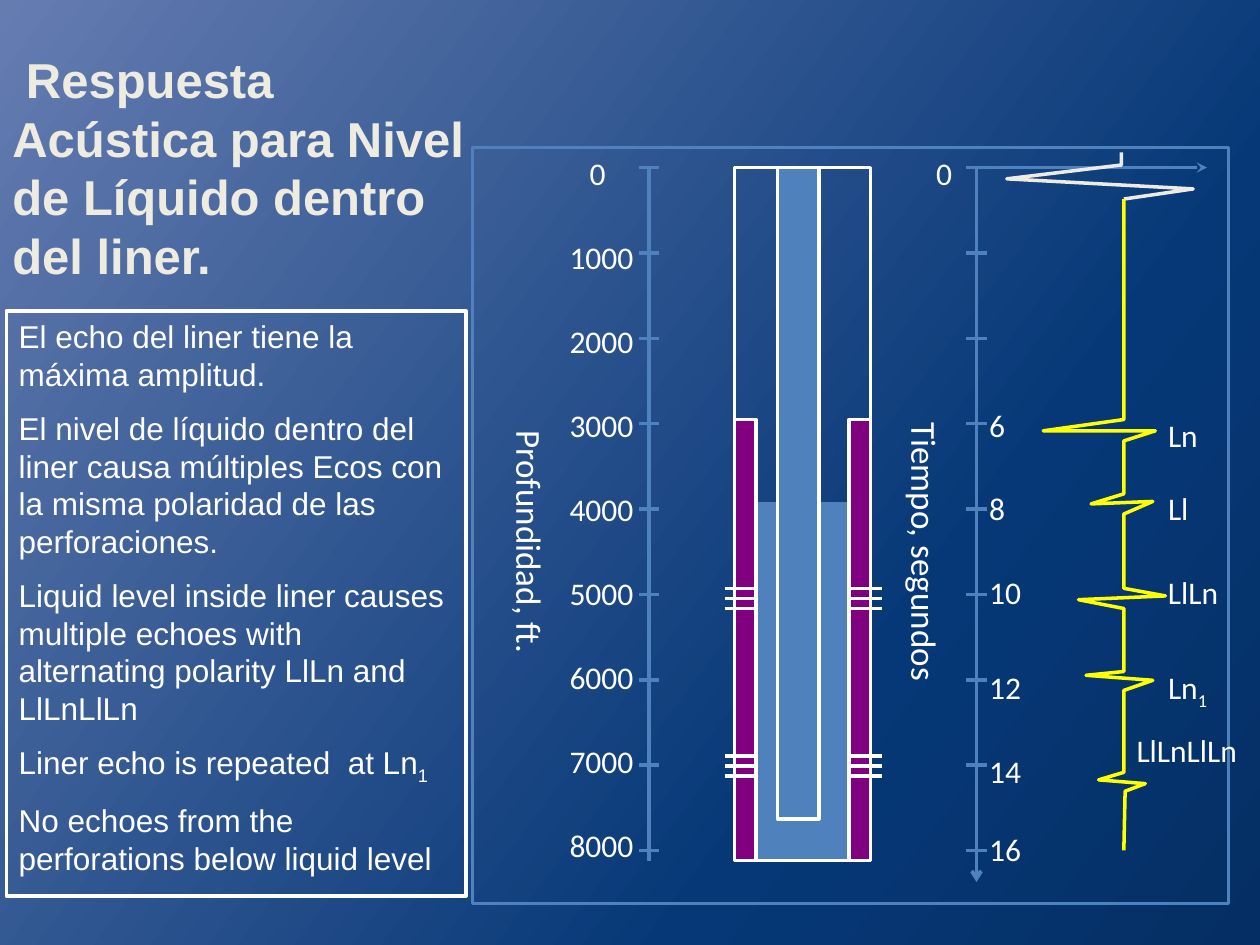
from lxml import etree
from pptx import Presentation
from pptx.dml.color import RGBColor
from pptx.enum.shapes import MSO_CONNECTOR, MSO_SHAPE
from pptx.enum.text import MSO_ANCHOR
from pptx.oxml import parse_xml
from pptx.oxml.ns import qn
from pptx.util import Inches, Pt

COLORS = {
    "white": "FFFFFF", "cream": "EEECE1", "blue": "4F81BD", "purple": "800080",
    "yellow": "FFFF00", "navy": "052F64", "royal": "063877", "haze": "657CB1",
}
DRAWING_NS = "http://schemas.openxmlformats.org/drawingml/2006/main"
PRESENTATION_NS = "http://schemas.openxmlformats.org/presentationml/2006/main"
TICK_STEP = 0.6775
LABEL_STEP = 2 / 3
NOTES = [
    "El echo del liner tiene la máxima amplitud.",
    "El nivel de líquido dentro del liner causa múltiples Ecos con "
    "la misma polaridad de las perforaciones.",
    "Liquid level inside liner causes multiple echoes with "
    "alternating polarity LlLn and LlLnLlLn",
    "Liner echo is repeated  at Ln_1",
    "No echoes from the perforations below liquid level",
]


def rgb(name):
    return RGBColor.from_string(COLORS[name])


def set_background(slide):
    stops = "".join(
        f'<a:gs pos="{percent * 1000}"><a:srgbClr val="{COLORS[name]}"/></a:gs>'
        for percent, name in ((0, "navy"), (30, "royal"), (100, "haze")))
    background = parse_xml(
        f'<p:bg xmlns:p="{PRESENTATION_NS}" xmlns:a="{DRAWING_NS}"><p:bgPr>'
        f'<a:gradFill rotWithShape="1"><a:gsLst>{stops}</a:gsLst>'
        f'<a:lin ang="{217 * 60000}" scaled="0"/></a:gradFill>'
        '<a:effectLst/></p:bgPr></p:bg>')
    slide.element.cSld.insert(0, background)


def style_shape(shape, line, fill=None):
    shape.shadow.inherit = False
    if fill:
        shape.fill.solid()
        shape.fill.fore_color.rgb = rgb(fill)
    else:
        shape.fill.background()
    shape.line.color.rgb = rgb(line)
    shape.line.width = Pt(2)


def add_box(shapes, left, top, width, height, line, fill=None):
    shape = shapes.add_shape(MSO_SHAPE.RECTANGLE, Inches(left), Inches(top),
                             Inches(width), Inches(height))
    style_shape(shape, line, fill)
    return shape


def add_line(shapes, start, end, color, arrow=None):
    connector = shapes.add_connector(
        MSO_CONNECTOR.STRAIGHT, *(Inches(value) for value in (*start, *end)))
    connector.line.color.rgb = rgb(color)
    connector.line.width = Pt(2)
    if arrow:
        etree.SubElement(connector.line._get_or_add_ln(), qn("a:tailEnd"), type=arrow)
    etree.SubElement(connector._element.spPr, qn("a:effectLst"))


def add_trace(shapes, points, color):
    points = [(Inches(x), Inches(y)) for x, y in points]
    builder = shapes.build_freeform(*points[0])
    builder.add_line_segments(points[1:], close=False)
    style_shape(builder.convert_to_shape(), color)


def write(paragraph, text, size, font="Calibri", color="white", bold=False):
    """Write text; whatever follows an underscore becomes a subscript."""
    base, _, subscript = text.partition("_")
    paragraph.add_run().text = base
    if subscript:
        run = paragraph.add_run()
        run.text = subscript
        run.font._element.set("baseline", "-25000")
    paragraph.font.size = Pt(size)
    paragraph.font.name = font
    paragraph.font.bold = bold
    paragraph.font.color.rgb = rgb(color)


def add_label(shapes, text, left, top, width, height=0.34, size=18, rotation=0):
    label = shapes.add_textbox(Inches(left), Inches(top), Inches(width), Inches(height))
    label.rotation = rotation
    frame = label.text_frame
    frame.word_wrap = True
    frame.margin_left = Inches(0.6)
    write(frame.paragraphs[0], text, size)


def add_ticks(shapes, x, top):
    for index in range(9):
        y = top + index * TICK_STEP
        add_line(shapes, (x - 0.08, y), (x + 0.08, y), "blue")


def add_title(slide, left, top, width, height):
    title = slide.shapes.add_textbox(Inches(left), Inches(top), Inches(width), Inches(height))
    frame = title.text_frame
    frame.word_wrap = True
    frame.vertical_anchor = MSO_ANCHOR.MIDDLE
    write(frame.paragraphs[0],
          " Respuesta Acústica para Nivel de Líquido dentro del liner.",
          28, "Arial", "cream", bold=True)


def add_notes_panel(slide, left, top, width, height):
    panel = add_box(slide.shapes, left, top, width, height, "white")
    frame = panel.text_frame
    frame.word_wrap = True
    frame.vertical_anchor = MSO_ANCHOR.TOP
    for index, note in enumerate(NOTES):
        paragraph = frame.add_paragraph() if index else frame.paragraphs[0]
        paragraph.alignment = 1  # left
        paragraph.space_before = Pt(9 if index else 0)
        write(paragraph, note, 18, "Arial")


def add_well(slide, left, top, width, height):
    shapes = slide.shapes
    liner_width = 0.17
    right_liner = left + width - liner_width
    # Liquid, casing and tubing
    add_box(shapes, left, top + 2.67, width, height - 2.67, "blue", "blue")
    add_box(shapes, left, top, width, height, "white")
    add_box(shapes, left + 0.34, top, 0.33, 5.17, "white", "blue")
    # Liner walls
    for x in (left, right_liner):
        add_box(shapes, x, top + 2, liner_width, height - 2, "white", "purple")
    # Perforations through both walls
    for x in (left - 0.08, right_liner + 0.01):
        for y in (top + 3.34, top + 4.67):
            group = shapes.add_group_shape().shapes
            for index in range(3):
                line_y = y + index * 0.08
                add_line(group, (x, line_y), (x + 0.25, line_y), "white")


def add_depth_scale(slide, x, top, height):
    group = slide.shapes.add_group_shape().shapes
    add_line(group, (x, top), (x, top + height), "blue")
    add_ticks(group, x, top)
    add_label(slide.shapes, "0", x - 1.07, top - 0.16, 0.83)
    for index in range(1, 9):
        add_label(slide.shapes, str(index * 1000), x - 1.23,
                  top - 0.16 + index * LABEL_STEP, 1.25)
    add_label(slide.shapes, "Profundidad, ft.", x - 2.29, top + 2.61,
              2.69, 0.44, size=20, rotation=90)


def add_time_scale(slide, x, top, height):
    shapes = slide.shapes
    add_line(shapes, (x, top), (x, top + height), "blue", "arrow")
    add_line(shapes, (x, top), (x + 1.83, top), "blue", "stealth")
    add_ticks(shapes, x, top)
    add_label(shapes, "0", x - 0.92, top - 0.16, 0.83)
    offsets = (1.84, 2.5, 3.17, 3.92, 4.59, 5.21)
    for seconds, offset in zip(range(6, 17, 2), offsets):
        add_label(shapes, str(seconds), x - 0.5, top + offset, 1.08)
    add_label(shapes, "Tiempo, segundos", x - 1.91, top + 2.7,
              3, 0.44, size=20, rotation=90)


def add_echo_trace(slide, x, top):
    # Offsets from the trace axis and from the zero of the time scale
    shot = [(-0.02, -0.12), (-0.02, -0.02), (-0.93, 0.09), (0.55, 0.17), (0, 0.25)]
    echoes = [
        (0, 0.25), (0, 2), (-0.64, 2.09), (0.25, 2.09), (0, 2.17),
        (0, 2.59), (-0.26, 2.67), (0.23, 2.65), (0, 2.75),
        (0, 3.34), (0.33, 3.4), (-0.36, 3.43), (0, 3.5),
        (0, 4), (-0.3, 4.03), (0.23, 4.07), (0, 4.15),
        (0, 4.8), (-0.2, 4.86), (0.17, 4.89), (0.01, 4.95), (0, 5.42),
    ]
    for points, color in ((shot, "cream"), (echoes, "yellow")):
        add_trace(slide.shapes, [(x + dx, top + dy) for dx, dy in points], color)
    # Echo names
    names = [("Ln", -0.25, 1.92, 1.08), ("Ll", -0.25, 2.5, 1.08),
             ("LlLn", -0.25, 3.17, 1.33), ("Ln_1", -0.25, 3.92, 1.25),
             ("LlLnLlLn", -0.5, 4.42, 1.75)]
    for text, dx, dy, width in names:
        add_label(slide.shapes, text, x + dx, top + dy, width)


def add_diagram(slide, left, top, width, height):
    add_box(slide.shapes, left, top, width, height, "blue")
    zero = top + 0.16
    add_well(slide, left + 2.08, zero, 1.08, 5.5)
    add_depth_scale(slide, left + 1.4, zero, 5.5)
    add_time_scale(slide, left + 4, zero, 5.67)
    add_echo_trace(slide, left + 5.17, zero)


def main():
    presentation = Presentation()
    presentation.slide_width = Inches(10)
    presentation.slide_height = Inches(7.5)
    slide = presentation.slides.add_slide(presentation.slide_layouts[6])
    set_background(slide)
    add_diagram(slide, 3.75, 1.17, 6, 6)
    add_title(slide, 0, 0.62, 3.91, 1.41)
    add_notes_panel(slide, 0.05, 2.47, 3.65, 4.64)
    presentation.save("out.pptx")


if __name__ == "__main__":
    main()
